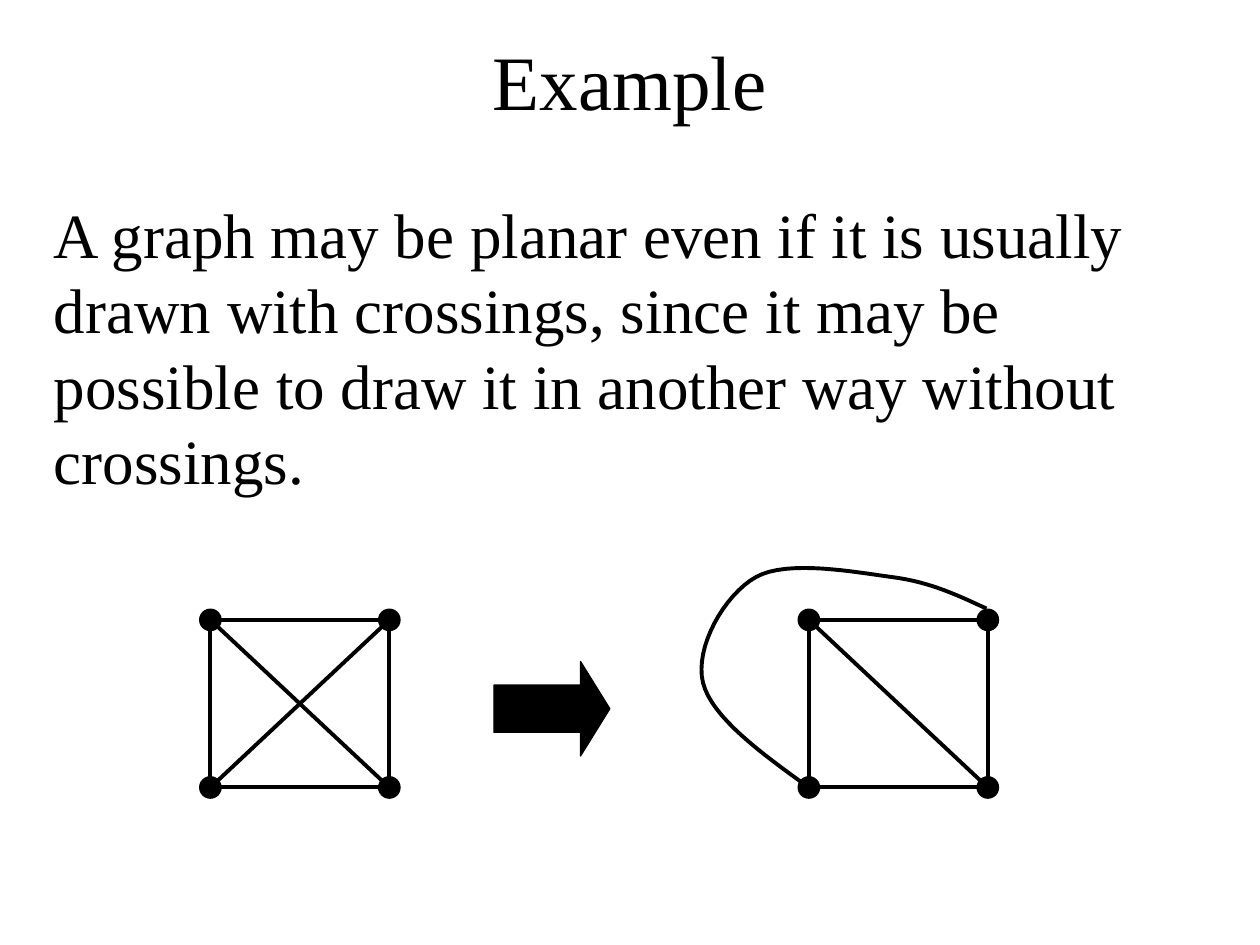
"""Build a slide showing two drawings of the same planar graph."""
from lxml.etree import SubElement
from pptx import Presentation
from pptx.dml.color import RGBColor
from pptx.enum.shapes import MSO_CONNECTOR as Connector, MSO_SHAPE as Shape
from pptx.enum.text import MSO_ANCHOR as Anchor, PP_ALIGN as Align
from pptx.oxml.ns import qn
from pptx.util import Inches, Pt

COLORS = {"ink": "000000", "paper": "FFFFFF"}
FONT = "Times New Roman"
SQUARE_WIDTH, SQUARE_HEIGHT, TOP = 1.42, 1.33, 4.92
NODE = 0.17
EDGE_WEIGHT, OUTLINE_WEIGHT = 2.25, 0.75
DETOUR_START = (7.83, 4.83)
DETOUR_CURVES = [
    ((7.61, 4.73), (7.39, 4.62), (7.08, 4.58)),
    ((6.78, 4.54), (6.25, 4.44), (6, 4.58)),
    ((5.75, 4.72), (5.51, 5.14), (5.58, 5.42)),
    ((5.65, 5.69), (6.03, 5.97), (6.42, 6.25)),
]


def ink(name):
    return RGBColor.from_string(COLORS[name])


def add_text(page, frame, text, size, align=Align.LEFT, anchor=Anchor.TOP):
    box = page.shapes.add_textbox(*map(Inches, frame))
    box.text_frame.word_wrap = True
    box.text_frame.vertical_anchor = anchor
    para = box.text_frame.paragraphs[0]
    para.alignment = align
    span = para.add_run()
    span.text = text
    span.font.name = FONT
    span.font.size = Pt(size)
    span.font.color.rgb = ink("ink")


def style_line(shape, weight):
    shape.line.color.rgb = ink("ink")
    shape.line.width = Pt(weight)


def style_shape(shape, weight, filled):
    shape.shadow.inherit = False
    if filled:
        shape.fill.solid()
        shape.fill.fore_color.rgb = ink("ink")
    else:
        shape.fill.background()
    style_line(shape, weight)


def add_solid(shapes, kind, frame):
    shape = shapes.add_shape(kind, *map(Inches, frame))
    style_shape(shape, OUTLINE_WEIGHT, True)
    return shape


def add_edge(shapes, start, end):
    edge = shapes.add_connector(Connector.STRAIGHT, *map(Inches, start + end))
    style_line(edge, EDGE_WEIGHT)
    SubElement(edge._element.spPr, qn("a:effectLst"))


def add_graph(page, left, crossed):
    """Draw a square with nodes and one diagonal, or both if crossed."""
    shapes = page.shapes.add_group_shape().shapes
    right, bottom = left + SQUARE_WIDTH, TOP + SQUARE_HEIGHT
    square = shapes.add_shape(
        Shape.RECTANGLE, *map(Inches, (left, TOP, SQUARE_WIDTH, SQUARE_HEIGHT)))
    style_shape(square, EDGE_WEIGHT, False)
    add_edge(shapes, (left, TOP), (right, bottom))
    if crossed:
        add_edge(shapes, (left, bottom), (right, TOP))
    for x in (left, right):
        for y in (TOP, bottom):
            add_solid(shapes, Shape.OVAL, (x - NODE / 2, y - NODE / 2, NODE, NODE))
    return shapes


def curve_points(start, curves, steps=16):
    """Return points along a chain of cubic curves."""
    points = [start]
    for first, second, end in curves:
        for step in range(1, steps + 1):
            t = step / steps
            weights = ((1 - t) ** 3, 3 * t * (1 - t) ** 2, 3 * t * t * (1 - t), t ** 3)
            points.append(tuple(
                sum(weight * value for weight, value in zip(weights, axis))
                for axis in zip(start, first, second, end)))
        start = end
    return points


def add_detour(shapes):
    start, *rest = [tuple(map(Inches, point))
                    for point in curve_points(DETOUR_START, DETOUR_CURVES)]
    builder = shapes.build_freeform(*start)
    builder.add_line_segments(rest, close=False)
    style_shape(builder.convert_to_shape(), EDGE_WEIGHT, False)


def main():
    deck = Presentation()
    deck.slide_width, deck.slide_height = Inches(10), Inches(7.5)
    page = deck.slides.add_slide(deck.slide_layouts[6])
    page.background.fill.solid()
    page.background.fill.fore_color.rgb = ink("paper")

    add_text(page, (0.5, 0.17, 9, 0.92), "Example", 44, Align.CENTER, Anchor.MIDDLE)
    add_graph(page, 1.67, crossed=True)
    add_detour(add_graph(page, 6.42, crossed=False))
    arrow = add_solid(page.shapes, Shape.RIGHT_ARROW, (3.92, 5.25, 0.92, 0.75))
    arrow.adjustments[0], arrow.adjustments[1] = 0.5, 0.31
    add_text(page, (0.33, 1.5, 9.25, 2.5),
             "A graph may be planar even if it is usually drawn with crossings, "
             "since it may be possible to draw it in another way without crossings.",
             36)
    deck.save("out.pptx")


if __name__ == "__main__":
    main()
